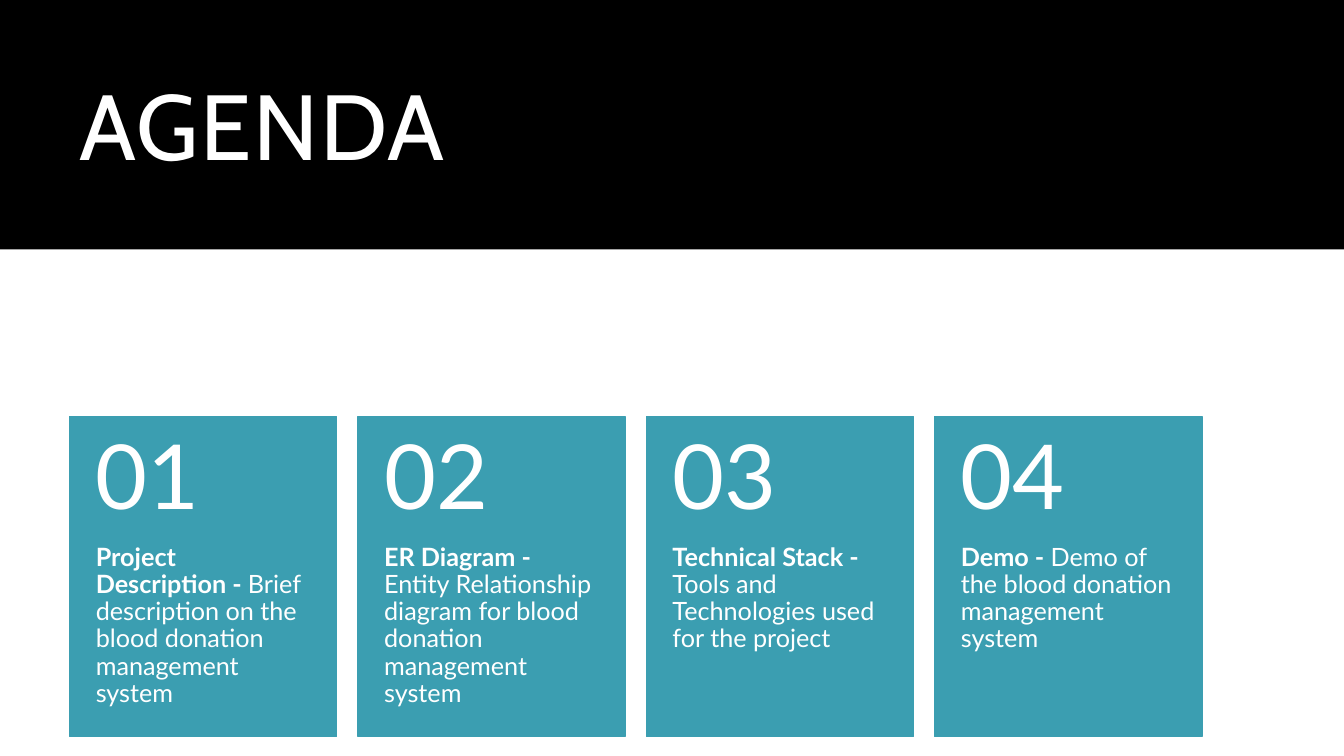
from pptx import Presentation
from pptx.dml.color import RGBColor
from pptx.enum.shapes import MSO_SHAPE as Shape
from pptx.enum.text import MSO_ANCHOR as Anchor
from pptx.util import Inches, Pt

COLOURS = {"banner": "000000", "card": "3B9EB1", "text": "FFFFFF"}
WIDTH, HEIGHT = 13.33, 7.5
LEFT, CARD_TOP = 0.69, 4.13
CARD_WIDTH, CARD_HEIGHT, CARD_STEP = 2.65, 3.18, 2.86
NUMBER_HEIGHT = 0.4 * CARD_HEIGHT
SIDE_INSET = 0.26

AGENDA = [
    ("Project Description - ",
     "Brief description on the blood donation management system"),
    ("ER Diagram - ",
     "Entity Relationship diagram for blood donation management system"),
    ("Technical Stack - ", "Tools and Technologies used for the project"),
    ("Demo - ", "Demo of the blood donation management system"),
]


def colour(name):
    return RGBColor.from_string(COLOURS[name])


def add_block(shapes, area, fill, outlined=False):
    block = shapes.add_shape(Shape.RECTANGLE, *map(Inches, area))
    block.shadow.inherit = False
    block.fill.solid()
    block.fill.fore_color.rgb = colour(fill)
    if outlined:
        block.line.color.rgb = colour(fill)
        block.line.width = Pt(1)
    else:
        block.line.fill.background()


def add_text(shapes, area, spans, font, size, insets, anchor=Anchor.TOP):
    """Add one paragraph of (text, bold) spans; insets are left, top, right, bottom."""
    box = shapes.add_textbox(*map(Inches, area))
    frame = box.text_frame
    frame.word_wrap = True
    frame.vertical_anchor = anchor
    (frame.margin_left, frame.margin_top,
     frame.margin_right, frame.margin_bottom) = map(Inches, insets)
    para = frame.paragraphs[0]
    para.line_spacing = 0.9
    para.font.name = font
    para.font.size = Pt(size)
    para.font.color.rgb = colour("text")
    for text, bold in spans:
        span = para.add_run()
        span.text = text
        span.font.bold = bold
    return para


def add_title(page, text):
    para = add_text(page.shapes, (LEFT, 0.37, 11.23, 1.86), [(text, False)],
                    "Cabin", 66, (0.1, 0.05, 0.1, 0.05), Anchor.MIDDLE)
    # Letter spacing in hundredths of a point
    para.runs[0].font._element.set("spc", "120")


def add_card(page, index, heading, detail):
    card = page.shapes.add_group_shape().shapes
    left = LEFT + index * CARD_STEP
    add_block(card, (left, CARD_TOP, CARD_WIDTH, CARD_HEIGHT), "card", True)
    add_text(card, (left, CARD_TOP + NUMBER_HEIGHT, CARD_WIDTH,
                    CARD_HEIGHT - NUMBER_HEIGHT),
             [(heading, True), (detail, False)], "Lato", 18,
             (SIDE_INSET, 0, SIDE_INSET, 0.36))
    add_text(card, (left, CARD_TOP, CARD_WIDTH, NUMBER_HEIGHT),
             [(f"{index + 1:02}", False)], "Lato", 64,
             (SIDE_INSET, 0.18, SIDE_INSET, 0.18), Anchor.MIDDLE)


def main():
    deck = Presentation()
    deck.slide_width, deck.slide_height = Inches(WIDTH), Inches(HEIGHT)
    page = deck.slides.add_slide(deck.slide_layouts[6])
    add_block(page.shapes, (0, 0, WIDTH, 0.33 * HEIGHT), "banner")
    add_title(page, "AGENDA")
    for index, (heading, detail) in enumerate(AGENDA):
        add_card(page, index, heading, detail)
    deck.save("out.pptx")


if __name__ == "__main__":
    main()
